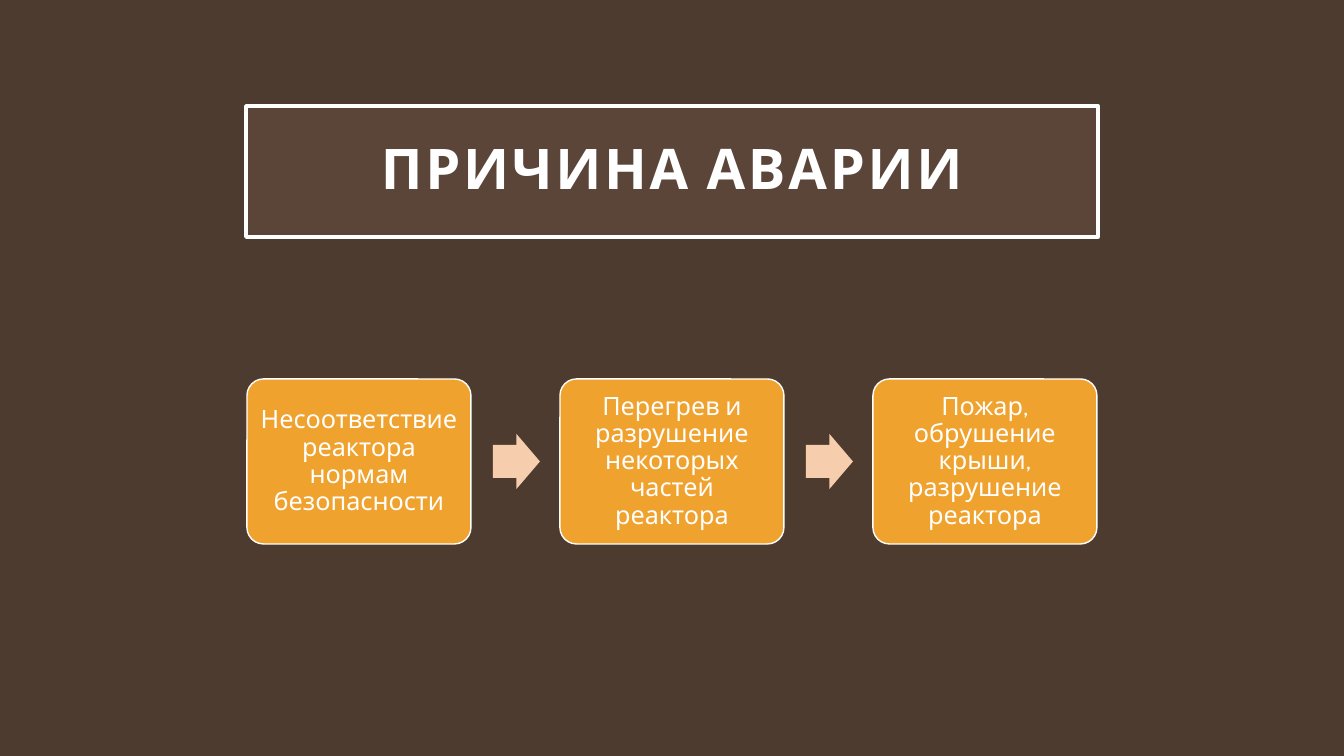
from lxml import etree
from pptx import Presentation
from pptx.dml.color import RGBColor
from pptx.enum.shapes import MSO_SHAPE
from pptx.enum.text import MSO_ANCHOR, PP_ALIGN
from pptx.oxml.ns import qn
from pptx.util import Emu, Pt

RECTANGLE = MSO_SHAPE.RECTANGLE
ROUNDED = MSO_SHAPE.ROUNDED_RECTANGLE
ARROW = MSO_SHAPE.RIGHT_ARROW
CENTER = PP_ALIGN.CENTER
MIDDLE = MSO_ANCHOR.MIDDLE

EMU_PER_PX = 914400 / 100.8
FONT = "Cabin"
COLORS = {
    "background": "4E3B30",
    "title": "A78470",
    "step": "F0A22E",
    "arrow": "F6CEAD",
    "white": "FFFFFF",
}

TITLE = "ПРИЧИНА АВАРИИ"
STEPS = [
    "Несоответствие реактора нормам безопасности",
    "Перегрев и разрушение некоторых частей реактора",
    "Пожар, обрушение крыши, разрушение реактора",
]
STEP_LEFT, STEP_TOP, STEP_WIDTH, STEP_HEIGHT = 247, 379, 224, 165
STEP_PITCH = 313
ARROW_WIDTH, ARROW_HEIGHT, ARROW_GAP = 47, 55, 22


def px(length):
    return Emu(round(length * EMU_PER_PX))


def color(name):
    return RGBColor.from_string(COLORS[name])


def add_box(page, kind, bounds, fill, line_width=0):
    box = page.shapes.add_shape(kind, *map(px, bounds))
    box.shadow.inherit = False
    box.fill.solid()
    box.fill.fore_color.rgb = color(fill)
    if line_width:
        box.line.color.rgb = color("white")
        box.line.width = Pt(line_width)
    else:
        box.line.fill.background()
    return box


def set_text(box, text, size, inset, bold=False):
    frame = box.text_frame
    frame.word_wrap = True
    frame.vertical_anchor = MIDDLE
    frame.margin_left = frame.margin_right = px(inset)
    frame.margin_top = frame.margin_bottom = px(inset)
    para = frame.paragraphs[0]
    para.text = text
    para.alignment = CENTER
    para.line_spacing = 0.9
    para.font.name = FONT
    para.font.size = Pt(size)
    para.font.bold = bold
    para.font.color.rgb = color("white")
    return para


def add_title(page):
    box = add_box(page, RECTANGLE, (246, 106, 852, 131), "title", 2.5)
    # Fill opacity of 15 %
    fill_color = box.fill._xPr.find(qn("a:solidFill"))[0]
    etree.SubElement(fill_color, qn("a:alpha"), val="15000")
    # Letter spacing of 2 pt
    para = set_text(box, TITLE, 40, 20, bold=True)
    para.runs[0].font._element.set("spc", "200")


def add_step(page, left, text):
    bounds = (left, STEP_TOP, STEP_WIDTH, STEP_HEIGHT)
    box = add_box(page, ROUNDED, bounds, "step", 1)
    box.adjustments[0] = 0.1
    set_text(box, text, 18, 7)


def add_arrow(page, left):
    top = STEP_TOP + (STEP_HEIGHT - ARROW_HEIGHT) / 2
    arrow = add_box(page, ARROW, (left, top, ARROW_WIDTH, ARROW_HEIGHT), "arrow")
    arrow.adjustments[0] = 0.6
    arrow.adjustments[1] = 0.5


def main():
    deck = Presentation()
    deck.slide_width, deck.slide_height = px(1344), px(756)
    page = deck.slides.add_slide(deck.slide_layouts[6])
    page.background.fill.solid()
    page.background.fill.fore_color.rgb = color("background")

    add_title(page)

    # Chain of causes, with an arrow before every step but the first
    for index, text in enumerate(STEPS):
        left = STEP_LEFT + index * STEP_PITCH
        if index:
            add_arrow(page, left - STEP_PITCH + STEP_WIDTH + ARROW_GAP)
        add_step(page, left, text)

    deck.save("out.pptx")


if __name__ == "__main__":
    main()
